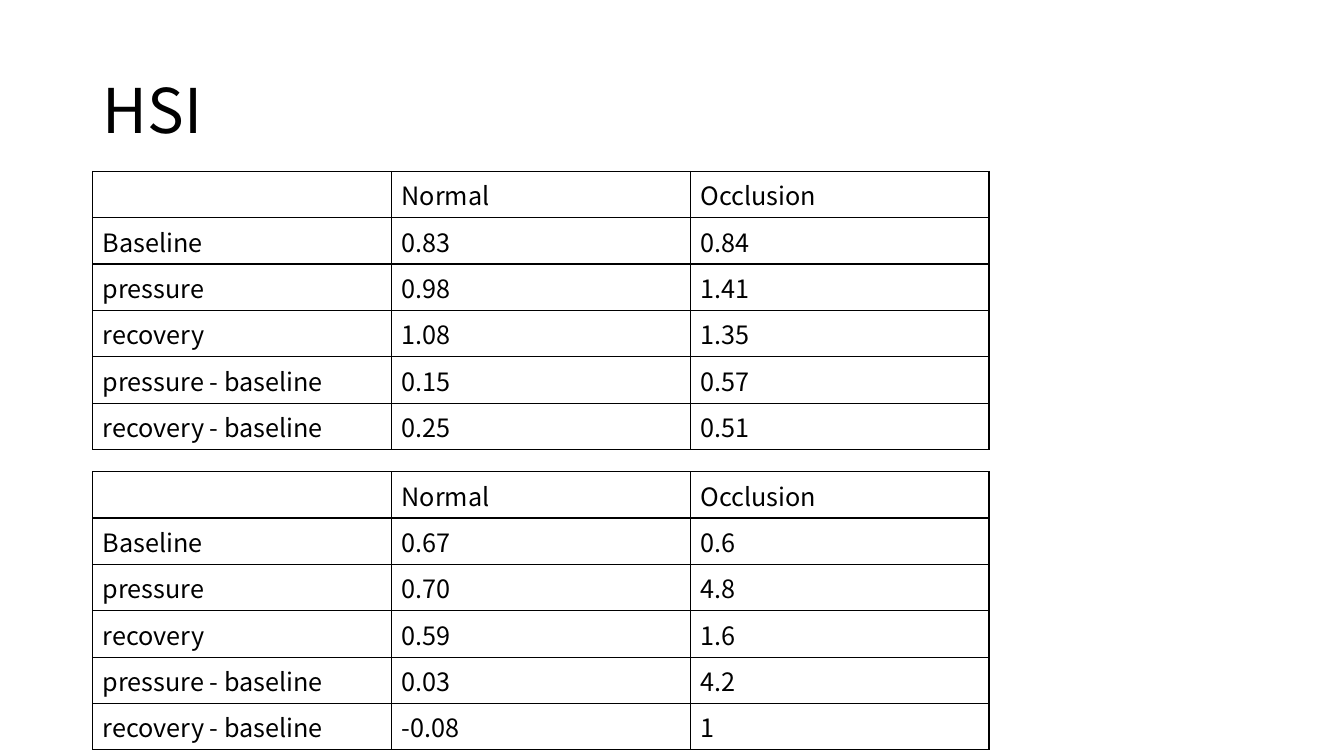
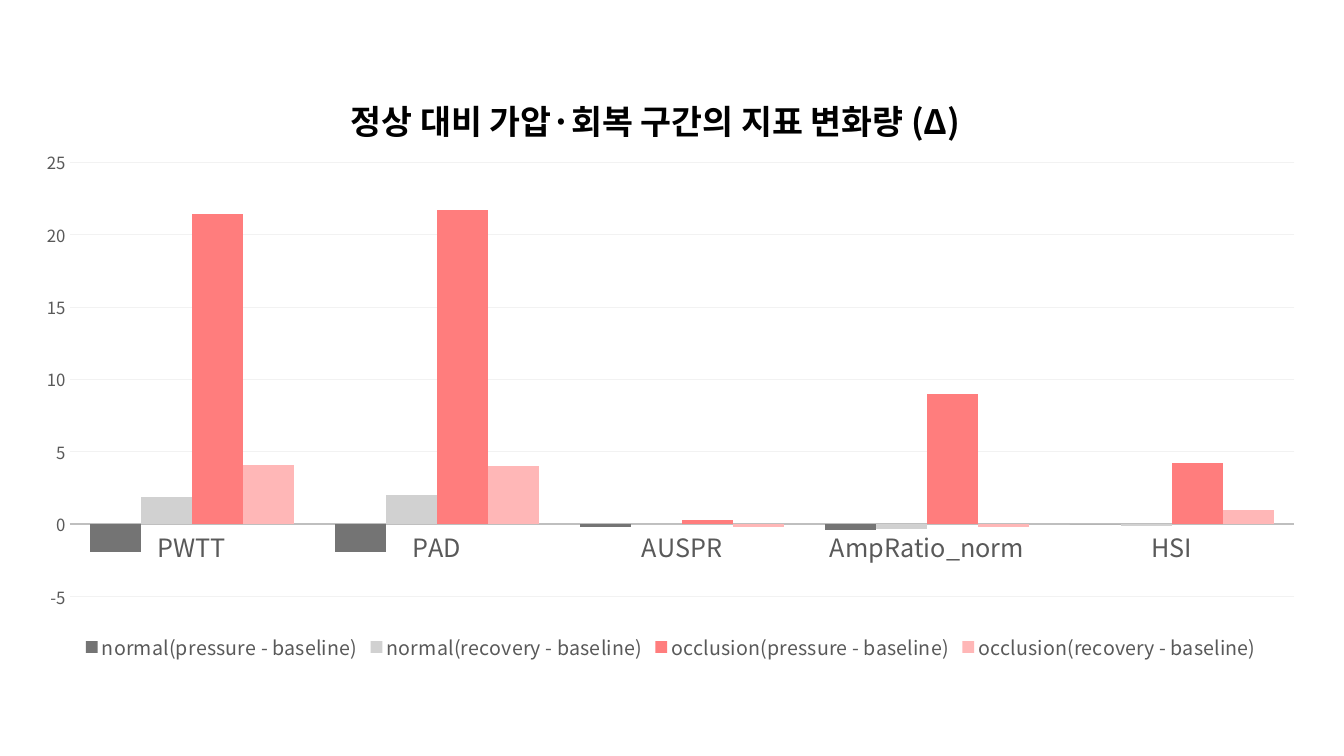
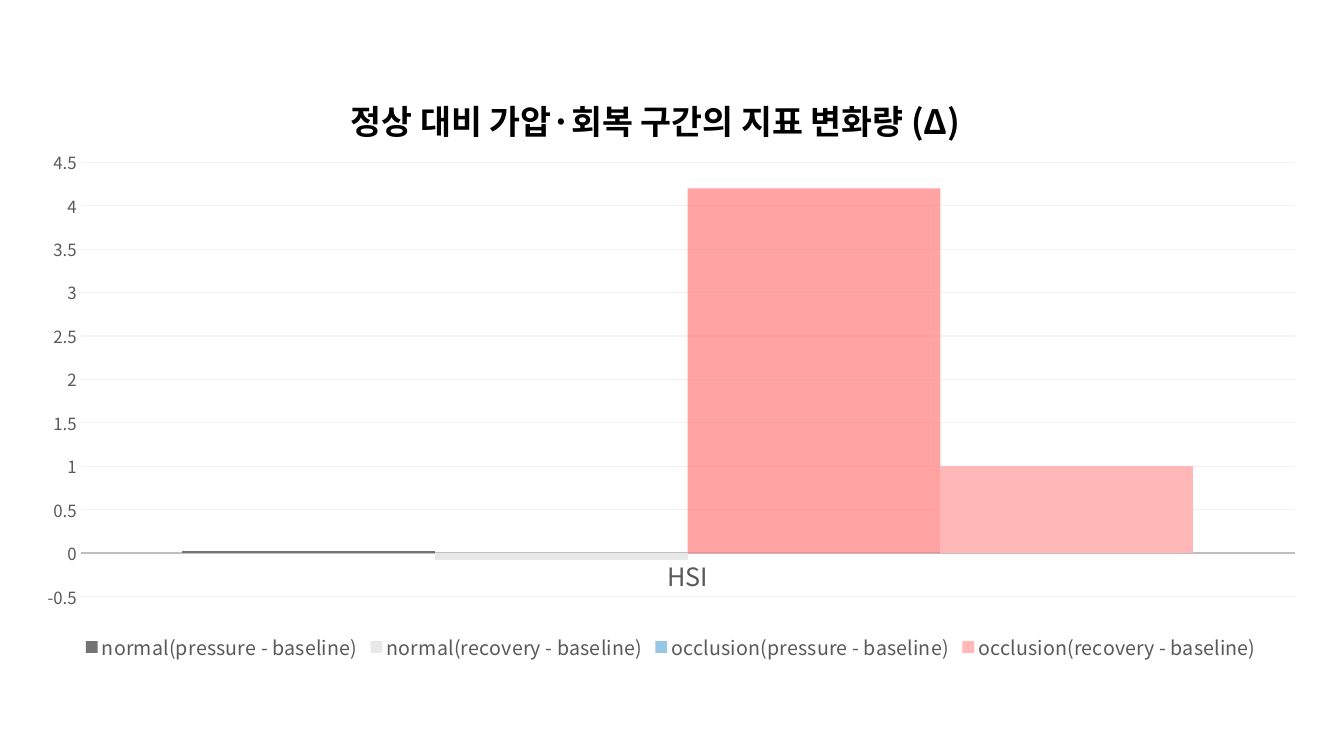
"""Build three slides: HSI tables and two charts of indicator changes."""
from lxml.etree import SubElement
from pptx import Presentation
from pptx.chart.data import CategoryChartData
from pptx.dml.color import RGBColor
from pptx.enum.chart import XL_CHART_TYPE, XL_LEGEND_POSITION, XL_TICK_MARK
from pptx.enum.text import MSO_ANCHOR
from pptx.oxml import parse_xml
from pptx.oxml.ns import nsdecls, qn
from pptx.util import Inches, Pt

FONT = "Noto Sans CJK KR"
BLACK, GRAY = "000000", "595959"
CHART_LEFT, CHART_TOP, CHART_WIDTH, CHART_HEIGHT = 0.21, 0.62, 12.89, 5.98
PLOT_TOP, PLOT_RIGHT, PLOT_HEIGHT = 1.61, 12.84, 4.31
CHART_TITLE = "정상 대비 가압·회복 구간의 지표 변화량 (Δ)"
SERIES_NAMES = [
    f"{group}({phase} - baseline)"
    for group in ("normal", "occlusion")
    for phase in ("pressure", "recovery")
]


def style_font(font, size, color=BLACK, bold=False):
    font.name = FONT
    font.size = Pt(size)
    font.bold = bold
    font.color.rgb = RGBColor.from_string(color)
    SubElement(font._element, qn("a:ea"), typeface=FONT)


def manual_layout(left, top, size="", target=""):
    x = (left - CHART_LEFT) / CHART_WIDTH
    y = (top - CHART_TOP) / CHART_HEIGHT
    return parse_xml(
        f'<c:layout {nsdecls("c")}><c:manualLayout>{target}'
        '<c:xMode val="edge"/><c:yMode val="edge"/>'
        f'<c:x val="{x:.4f}"/><c:y val="{y:.4f}"/>{size}'
        "</c:manualLayout></c:layout>"
    )


presentation = Presentation()
presentation.slide_width = Inches(13.33)
presentation.slide_height = Inches(7.5)
blank_layout = presentation.slide_layouts[6]

slide = presentation.slides.add_slide(blank_layout)
title = slide.shapes.add_textbox(Inches(0.92), Inches(0.4), Inches(11.5), Inches(1.45))
title.text_frame.word_wrap = True
title.text_frame.vertical_anchor = MSO_ANCHOR.MIDDLE
title.text_frame.text = "HSI"
paragraph = title.text_frame.paragraphs[0]
paragraph.line_spacing = 0.9
style_font(paragraph.runs[0].font, 44)

row_names = ["Baseline", "pressure", "recovery", "pressure - baseline", "recovery - baseline"]
tables = [
    (1.7, ["0.83", "0.98", "1.08", "0.15", "0.25"], ["0.84", "1.41", "1.35", "0.57", "0.51"]),
    (4.68, ["0.67", "0.70", "0.59", "0.03", "-0.08"], ["0.6", "4.8", "1.6", "4.2", "1"]),
]
for top, normal, occlusion in tables:
    rows = [("", "Normal", "Occlusion"), *zip(row_names, normal, occlusion)]
    table = slide.shapes.add_table(
        len(rows), 3, Inches(0.92), Inches(top), Inches(8.89), Inches(0.46 * len(rows))
    ).table
    table.first_row = False
    table.horz_banding = False
    for row_index, row in enumerate(rows):
        for column_index, text in enumerate(row):
            cell = table.cell(row_index, column_index)
            cell.text = text
            for run in cell.text_frame.paragraphs[0].runs:
                style_font(run.font, 18)
            properties = cell._tc.get_or_add_tcPr()
            for side in ("lnL", "lnR", "lnT", "lnB"):
                line = SubElement(properties, qn(f"a:{side}"), w=str(Pt(1)))
                fill = SubElement(line, qn("a:solidFill"))
                SubElement(fill, qn("a:srgbClr"), val=BLACK)
            cell.fill.background()

charts = [
    {
        "categories": ["PWTT", "PAD", "AUSPR", "AmpRatio_norm", "HSI"],
        "values": [
            [-1.9, -1.9, -0.2, -0.4, 0],
            [1.9, 2, 0, -0.3, -0.1],
            [21.4, 21.7, 0.3, 9, 4.2],
            [4.1, 4, -0.2, -0.2, 1],
        ],
        "colors": ["747474", "D1D1D1", "FF7D7D", "FFB7B7"],
        "scale": (-5, 25, 5),
        "plot_left": 0.69,
    },
    {
        "categories": ["HSI"],
        "values": [[0.03], [-0.08], [4.2], [1]],
        "colors": ["747474", "E8E8E8", "6DB0DC", "FFB7B7"],
        "scale": (-0.5, 4.5, 0.5),
        "plot_left": 0.8,
    },
]
for settings in charts:
    slide = presentation.slides.add_slide(blank_layout)
    chart_data = CategoryChartData()
    chart_data.categories = settings["categories"]
    for name, values in zip(SERIES_NAMES, settings["values"]):
        chart_data.add_series(name, values)
    chart = slide.shapes.add_chart(
        XL_CHART_TYPE.COLUMN_CLUSTERED,
        Inches(CHART_LEFT), Inches(CHART_TOP), Inches(CHART_WIDTH), Inches(CHART_HEIGHT),
        chart_data,
    ).chart
    style_font(chart.font, 10)

    chart.has_title = True
    chart_title = chart.chart_title
    chart_title.include_in_layout = False
    chart_title.text_frame.text = CHART_TITLE
    style_font(chart_title.text_frame.paragraphs[0].runs[0].font, 24, bold=True)

    chart.has_legend = True
    chart.legend.position = XL_LEGEND_POSITION.BOTTOM
    chart.legend.include_in_layout = False
    style_font(chart.legend.font, 14, GRAY)

    category_axis, value_axis = chart.category_axis, chart.value_axis
    for axis, size in ((category_axis, 18), (value_axis, 12)):
        axis.major_tick_mark = XL_TICK_MARK.NONE
        axis.minor_tick_mark = XL_TICK_MARK.NONE
        style_font(axis.tick_labels.font, size, GRAY)
    category_axis.format.line.color.rgb = RGBColor.from_string("BFBFBF")
    category_axis.format.line.width = Pt(1.25)
    value_axis.format.line.fill.background()
    value_axis.minimum_scale, value_axis.maximum_scale, value_axis.major_unit = settings["scale"]
    gridline = value_axis.major_gridlines.format.line
    gridline.color.rgb = RGBColor.from_string("F2F2F2")
    gridline.width = Pt(0.75)

    plot = chart.plots[0]
    plot.gap_width = 80
    plot.overlap = 0
    plot.vary_by_categories = False
    for series, color in zip(plot.series, settings["colors"]):
        series.invert_if_negative = False
        series.format.fill.solid()
        series.format.fill.fore_color.rgb = RGBColor.from_string(color)

    plot_area = chart._chartSpace.chart.plotArea
    title_element = chart_title._element
    for parent in (plot_area, title_element):
        for layout in parent.findall(qn("c:layout")):
            parent.remove(layout)
    title_element.find(qn("c:overlay")).addprevious(manual_layout(3.42, 0.85))
    width = (PLOT_RIGHT - settings["plot_left"]) / CHART_WIDTH
    height = PLOT_HEIGHT / CHART_HEIGHT
    plot_size = f'<c:w val="{width:.4f}"/><c:h val="{height:.4f}"/>'
    plot_area.insert(0, manual_layout(
        settings["plot_left"], PLOT_TOP, plot_size, '<c:layoutTarget val="inner"/>'
    ))

highlight = plot.series[2]
point_fill = highlight.points[0].format.fill
point_fill.solid()
point_fill.fore_color.rgb = RGBColor.from_string("FF7D7D")
for color_element in highlight._element.iter(qn("a:srgbClr")):
    SubElement(color_element, qn("a:alpha"), val="70000")

presentation.save("out.pptx")
